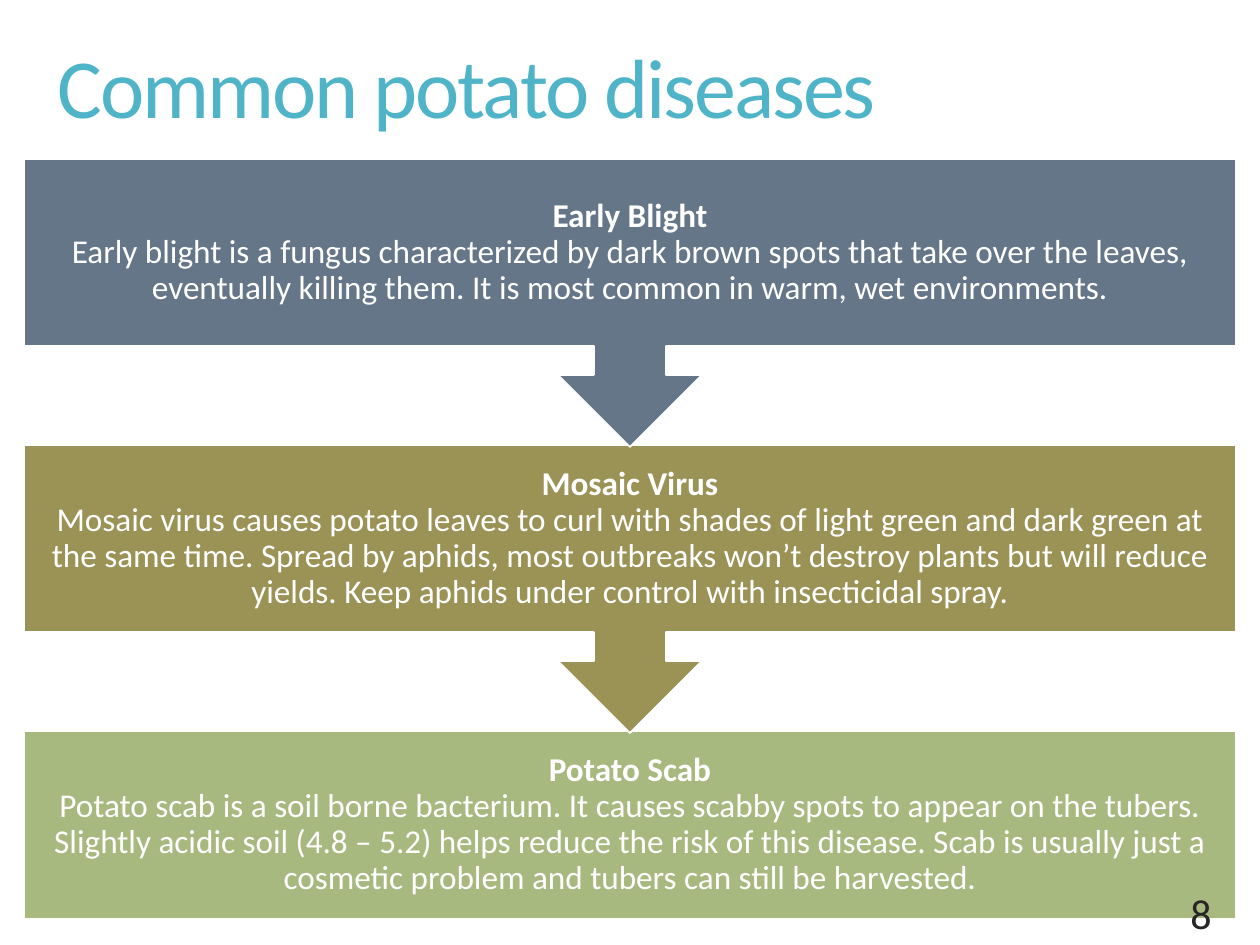
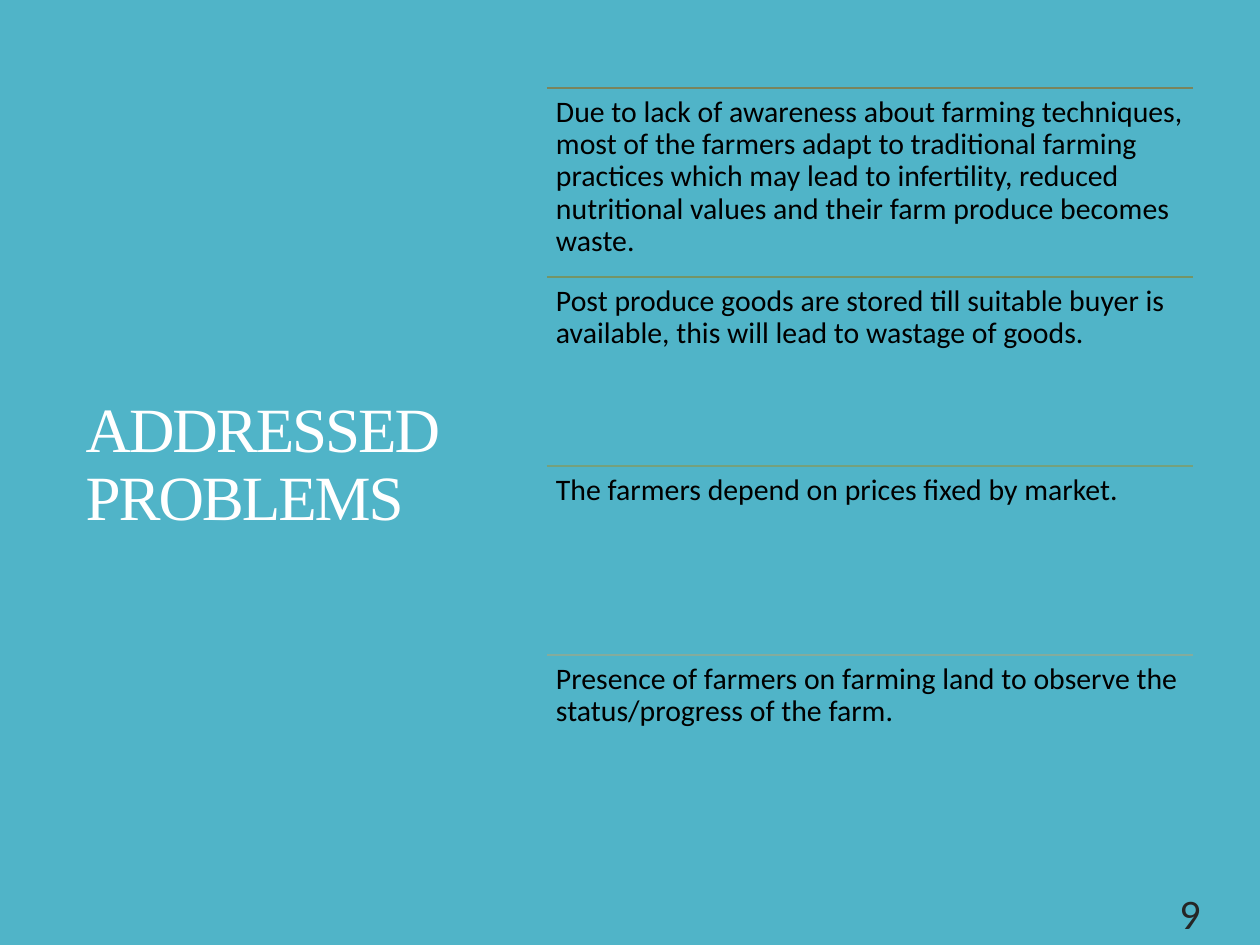
import pptx
import pptx.util
import pptx.dml.color
import pptx.enum.shapes
import pptx.enum.text
import lxml.etree

PX = 914400 / 126
TEAL, WHITE, INK = "50B4C8", "FFFFFF", "262626"
SHAPE = pptx.enum.shapes.MSO_SHAPE
ALIGN = pptx.enum.text.PP_ALIGN
ANCHOR = pptx.enum.text.MSO_ANCHOR


def rgb(code):
    return pptx.dml.color.RGBColor.from_string(code)


def style(box, size, color, anchor, align, pad=None, face="Calibri"):
    """Format the text of a box; pad is an equal inset in px."""
    frame = box.text_frame
    frame.word_wrap = True
    frame.auto_size = pptx.enum.text.MSO_AUTO_SIZE.NONE
    frame.vertical_anchor = anchor
    if pad is not None:
        frame.margin_left = frame.margin_right = round(pad * PX)
        frame.margin_top = frame.margin_bottom = round(pad * PX)
    for para in frame.paragraphs:
        para.alignment = align
        para.line_spacing = 0.9
        para.font.size = pptx.util.Pt(size)
        para.font.name = face
        para.font.color.rgb = rgb(color)


deck = pptx.Presentation()
deck.slide_width, deck.slide_height = round(1260 * PX), round(945 * PX)

# Shared parts: background, title, page number
pages = [
    ("Common potato diseases", (45, 26, 914, 131), 48, "Calibri", TEAL, WHITE,
     "8", (922, 750, 302, 195)),
    ("ADDRESSED PROBLEMS", (73, 88, 413, 757), 36, "Times New Roman", WHITE, TEAL,
     "9", (911, 752, 302, 193)),
]
slides, marks = [], []
for text, area, size, face, color, back, num, spot in pages:
    slide = deck.slides.add_slide(deck.slide_layouts[5])
    slide.background.fill.solid()
    slide.background.fill.fore_color.rgb = rgb(back)
    title = slide.shapes.title
    title.left, title.top, title.width, title.height = [round(v * PX) for v in area]
    title.text_frame.text = text
    style(title, size, color, ANCHOR.MIDDLE, ALIGN.LEFT, face=face)
    props = title.text_frame.paragraphs[0]._p.get_or_add_pPr()
    props.get_or_add_defRPr().set("spc", "-120")
    slides.append(slide)
    marks.append((slide, num, spot))

# Slide 1: chain of diseases, last one first so each arrow tip lies on top
chain = [
    ("Early Blight", "657689",
     "Early blight is a fungus characterized by dark brown spots that take over the "
     "leaves, eventually killing them. It is most common in warm, wet environments."),
    ("Mosaic Virus", "9B9256",
     "Mosaic virus causes potato leaves to curl with shades of light green and dark "
     "green at the same time. Spread by aphids, most outbreaks won’t destroy plants "
     "but will reduce yields. Keep aphids under control with insecticidal spray."),
    ("Potato Scab", "A8B97F",
     "Potato scab is a soil borne bacterium. It causes scabby spots to appear on the "
     "tubers. Slightly acidic soil (4.8 – 5.2) helps reduce the risk of this disease. "
     "Scab is usually just a cosmetic problem and tubers can still be harvested."),
]
for row in reversed(range(len(chain))):
    name, color, text = chain[row]
    last = row == len(chain) - 1
    kind, tall = (SHAPE.RECTANGLE, 188) if last else (SHAPE.DOWN_ARROW_CALLOUT, 288)
    area = (24, 159 + 286 * row, 1212, tall)
    box = slides[0].shapes.add_shape(kind, *[round(v * PX) for v in area])
    box.shadow.inherit = False
    box.fill.solid()
    box.fill.fore_color.rgb = rgb(color)
    box.line.color.rgb = rgb(WHITE)
    box.line.width = pptx.util.Pt(1)
    para = box.text_frame.paragraphs[0]
    head = para.add_run()
    head.text = name
    head.font.bold = True
    para.add_line_break()
    para.add_run().text = text
    style(box, 19, WHITE, ANCHOR.MIDDLE, ALIGN.CENTER, 19)

# Slide 2: ruled list of problems
rules = [
    ("7A855D", "Due to lack of awareness about farming techniques, most of the farmers "
     "adapt to traditional farming practices which may lead to infertility, reduced "
     "nutritional values and their farm produce becomes waste."),
    ("749567", "Post produce goods are stored till suitable buyer is available, this "
     "will lead to wastage of goods."),
    ("75A17D", "The farmers depend on prices fixed by market."),
    ("84AC9D", "Presence of farmers on farming land to observe the status/progress of "
     "the farm."),
]
left, wide, step = 547, 646, 189
for row, (color, text) in enumerate(rules):
    top = 88 + step * row
    ends = [round(v * PX) for v in (left, top, left + wide, top)]
    rule = slides[1].shapes.add_connector(pptx.enum.shapes.MSO_CONNECTOR.STRAIGHT, *ends)
    rule.line.color.rgb = rgb(color)
    rule.line.width = pptx.util.Pt(1)
    lxml.etree.SubElement(rule._element.spPr, pptx.oxml.ns.qn("a:effectLst"))
    box = slides[1].shapes.add_textbox(*[round(v * PX) for v in (left, top, wide, step)])
    box.text_frame.text = text
    style(box, 17, "000000", ANCHOR.TOP, ALIGN.LEFT, 9)

# Page numbers, in front of everything
for slide, num, spot in marks:
    box = slide.shapes.add_textbox(*[round(v * PX) for v in spot])
    box.text_frame.text = num
    style(box, 24, INK, ANCHOR.BOTTOM, ALIGN.RIGHT)

deck.save("out.pptx")
